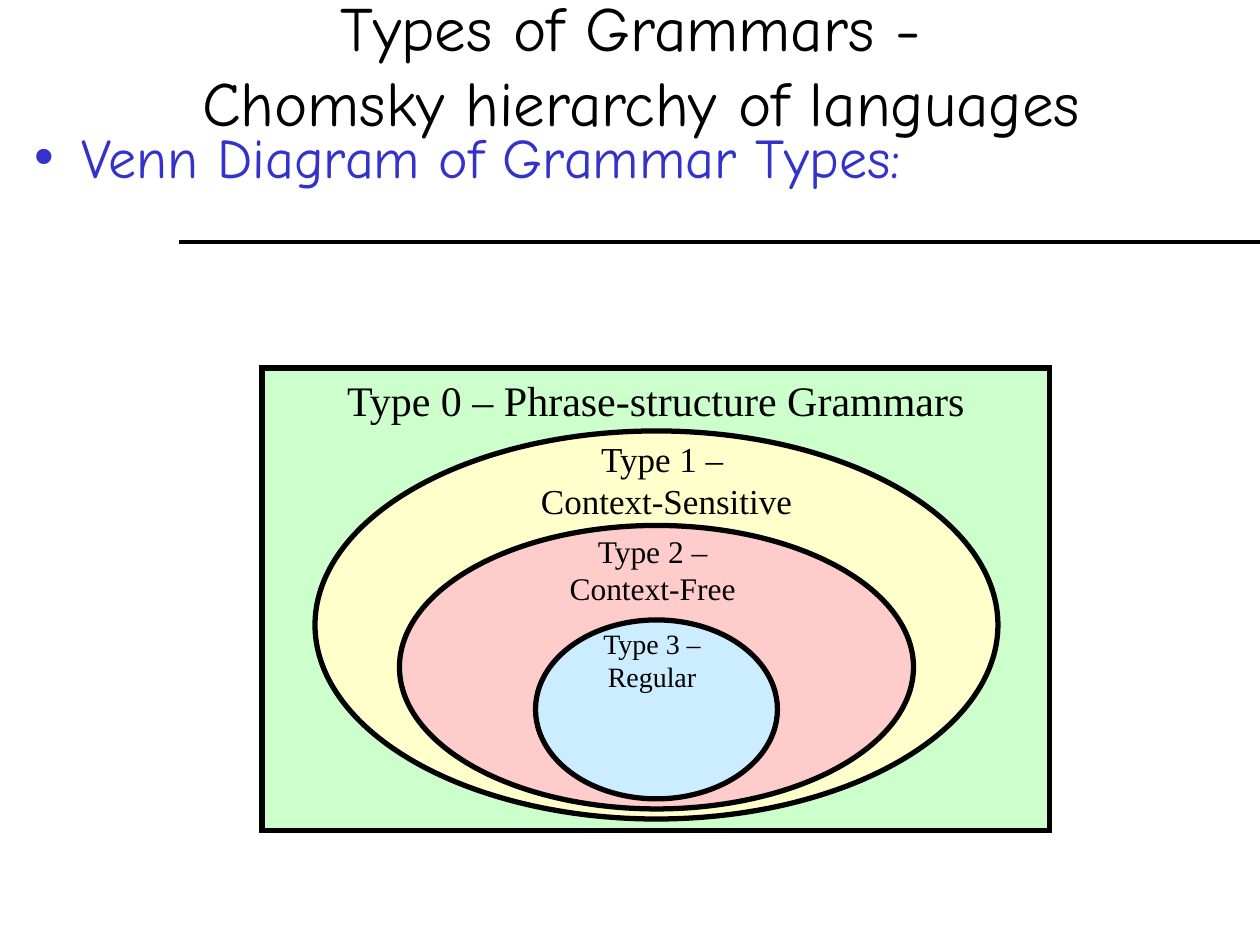
from pptx import Presentation
from pptx.dml.color import RGBColor
from pptx.enum.shapes import MSO_CONNECTOR, MSO_SHAPE
from pptx.enum.text import MSO_ANCHOR, MSO_AUTO_SIZE, PP_ALIGN
from pptx.util import Inches, Pt
from lxml.etree import SubElement
from pptx.oxml.ns import qn

COLORS = {
    "black": "000000", "blue": "3333CC", "green": "CCFFCC",
    "yellow": "FFFFCC", "pink": "FFCCCC", "sky": "CCECFF",
}


def tint(name):
    return RGBColor.from_string(COLORS[name])


def write(shape, text, size, font, color, align, anchor=MSO_ANCHOR.TOP):
    frame = shape.text_frame
    frame.text = text
    frame.auto_size = MSO_AUTO_SIZE.NONE
    frame.vertical_anchor = anchor
    para = frame.paragraphs[0]
    para.alignment = align
    for run in para.runs:
        run.font.size = Pt(size)
        run.font.name = font
        run.font.color.rgb = tint(color)
    return para


deck = Presentation()
deck.slide_width, deck.slide_height = Inches(10), Inches(7.5)
slide = deck.slides.add_slide(deck.slide_layouts[1])
shapes = slide.shapes

rule = shapes.add_connector(
    MSO_CONNECTOR.STRAIGHT, Inches(1.42), Inches(1.92), Inches(10), Inches(1.92))
rule.line.color.rgb = tint("black")
rule.line.width = Pt(2.25)
SubElement(rule._element.spPr, qn("a:effectLst"))

title, body = shapes.title, slide.placeholders[1]
for box, top, height in [(title, 0.17, 0.67), (body, 0.92, 6)]:
    box.left, box.top = Inches(0.17), Inches(top)
    box.width, box.height = Inches(9.67), Inches(height)

write(title, "Types of Grammars -\v Chomsky hierarchy of languages",
      36, "Comic Neue", "black", PP_ALIGN.CENTER, MSO_ANCHOR.MIDDLE)
item = write(body, "Venn Diagram of Grammar Types:",
             32, "Comic Neue", "blue", PP_ALIGN.LEFT)
item.space_before = Pt(8)
props = item._p.get_or_add_pPr()
props.set("marL", str(Inches(0.38)))
props.set("indent", str(-Inches(0.38)))
SubElement(SubElement(props, qn("a:buClr")), qn("a:srgbClr"), val=COLORS["blue"])
SubElement(props, qn("a:buChar"), char="•")

RECT, OVAL = MSO_SHAPE.RECTANGLE, MSO_SHAPE.OVAL
sets = [
    (RECT, 2.08, 2.92, 6.25, 3.67, "green",
     "Type 0 – Phrase-structure Grammars", 24, None),
    (OVAL, 2.5, 3.42, 5.42, 3.08, "yellow",
     "Type 1 – \vContext-Sensitive", 20, (4.18, 2.22, 0.77)),
    (OVAL, 3.17, 4.17, 4.08, 2.25, "pink",
     "Type 2 –\vContext-Free", 18, (4.41, 1.54, 0.7)),
    (OVAL, 4.25, 4.92, 1.92, 1.42, "sky",
     "Type 3 –\vRegular", 16, (4.67, 1.01, 0.64)),
]
for kind, left, top, width, height, fill, text, size, label in sets:
    area = shapes.add_shape(
        kind, Inches(left), Inches(top), Inches(width), Inches(height))
    area.shadow.inherit = False
    area.fill.solid()
    area.fill.fore_color.rgb = tint(fill)
    area.line.color.rgb = tint("black")
    area.line.width = Pt(3)
    SubElement(area.line._get_or_add_ln(), qn("a:miter"), lim="800000")
    holder = area
    if label:
        x, wide, tall = label
        holder = shapes.add_textbox(
            Inches(x), Inches(top), Inches(wide), Inches(tall))
    write(holder, text, size, "Times New Roman", "black", PP_ALIGN.CENTER)
    holder.text_frame.word_wrap = False
    if label:
        holder.text_frame.auto_size = MSO_AUTO_SIZE.SHAPE_TO_FIT_TEXT

deck.save("out.pptx")
